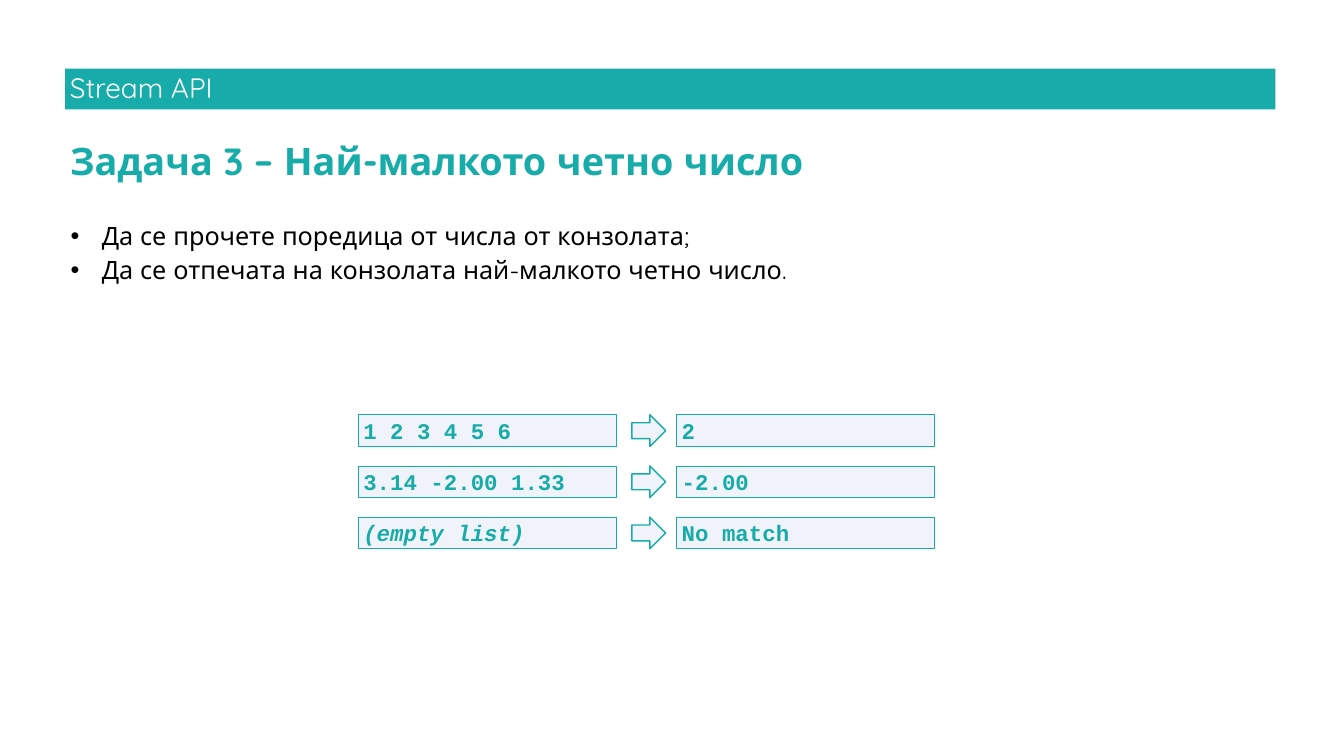
from pptx import Presentation
from pptx.dml.color import RGBColor
from pptx.enum import shapes, text
from pptx.oxml import ns, xmlchemy
from pptx.util import Inches, Pt

TEAL = RGBColor(0x17, 0xAC, 0xA9)
PALE = RGBColor(0xF0, 0xF4, 0xFA)
WHITE = RGBColor(0xFF, 0xFF, 0xFF)
BLACK = RGBColor(0x00, 0x00, 0x00)
BODY_FONT = "Quicksand"
CODE_FONT = "Courier New"

TASK_POINTS = [
    "Да се прочете поредица от числа от конзолата;",
    "Да се отпечата на конзолата най-малкото четно число.",
]
EXAMPLES = [
    ("1 2 3 4 5 6", "2", False),
    ("3.14 -2.00 1.33", "-2.00", False),
    ("(empty list)", "No match", True),
]


def place(part, left, top, width, height):
    """Move and size a part, in inches."""
    part.left, part.top = Inches(left), Inches(top)
    part.width, part.height = Inches(width), Inches(height)


def prepare_frame(frame, anchor=text.MSO_ANCHOR.TOP):
    """Set wrapping and anchoring of a text frame."""
    frame.word_wrap = True
    frame.auto_size = text.MSO_AUTO_SIZE.NONE
    frame.vertical_anchor = anchor


def add_run(paragraph, words, font, size, color, bold=False, italic=False):
    """Add one left-aligned, formatted run to a paragraph."""
    paragraph.alignment = text.PP_ALIGN.LEFT
    run = paragraph.add_run()
    run.text = words
    run.font.name, run.font.size = font, Pt(size)
    run.font.bold, run.font.italic = bold, italic
    run.font.color.rgb = color


def add_bullet(paragraph):
    """Give a paragraph a black bullet with a hanging indent."""
    props = paragraph._p.get_or_add_pPr()
    props.set("marL", str(Inches(0.63)))
    props.set("indent", str(-Inches(0.62)))
    for xml in (
        '<a:buClr %s><a:srgbClr val="000000"/></a:buClr>',
        '<a:buFont %s typeface="Arial"/>',
        '<a:buChar %s char="•"/>',
    ):
        props.append(xmlchemy.parse_xml(xml % ns.nsdecls("a"))
                     if hasattr(xmlchemy, "parse_xml")
                     else ns_element(xml))


def ns_element(xml):
    """Build a drawing element from its markup."""
    from pptx.oxml import parse_xml
    return parse_xml(xml % ns.nsdecls("a"))


def add_block(parent, preset, box, fill, line_width=None):
    """Add a flat preset shape, outlined in teal if a line width is given."""
    block = parent.add_shape(preset, *(Inches(length) for length in box))
    block.shadow.inherit = False
    block.fill.solid()
    block.fill.fore_color.rgb = fill
    if line_width is None:
        block.line.fill.background()
    else:
        block.line.color.rgb = TEAL
        block.line.width = Pt(line_width)
    return block


def section_bar(slide, left, top, width, height):
    """Draw the teal bar that names the section."""
    bar = add_block(slide.shapes, shapes.MSO_SHAPE.RECTANGLE,
                    (left, top, width, height), TEAL)
    prepare_frame(bar.text_frame, text.MSO_ANCHOR.MIDDLE)
    section = bar.text_frame.paragraphs[0]
    section.line_spacing = 0.9
    add_run(section, "Stream API", BODY_FONT, 40, WHITE)


def task_heading(slide, left, top, width, height):
    """Fill the title with the name of the task."""
    heading = slide.shapes.title
    place(heading, left, top, width, height)
    prepare_frame(heading.text_frame)
    task = heading.text_frame.paragraphs[0]
    task.line_spacing, task.space_before = 0.9, Pt(0)
    add_run(task, "Задача 3 – Най-малкото четно число", BODY_FONT, 54, TEAL, bold=True)


def task_list(slide, left, top, width, height):
    """Fill the body with the requirements of the task."""
    requirements = slide.placeholders[1]
    place(requirements, left, top, width, height)
    frame = requirements.text_frame
    prepare_frame(frame)
    for index, words in enumerate(TASK_POINTS):
        point = frame.add_paragraph() if index else frame.paragraphs[0]
        point.line_spacing = 0.9
        point.space_before = Pt(10 if index else 0)
        add_bullet(point)
        add_run(point, words, BODY_FONT, 36, BLACK)


def example_row(slide, left, top, width, height, example):
    """Draw one group: an input box, an arrow and an output box."""
    given, expected, italic = example
    row = slide.shapes.add_group_shape().shapes
    box_width = 5.12
    for offset, words, slanted in ((0, given, italic), (width - box_width, expected, False)):
        sample = add_block(row, shapes.MSO_SHAPE.RECTANGLE,
                           (left + offset, top, box_width, height), PALE, 1)
        prepare_frame(sample.text_frame)
        add_run(sample.text_frame.paragraphs[0], words, CODE_FONT, 32, TEAL,
                bold=True, italic=slanted)
    add_block(row, shapes.MSO_SHAPE.RIGHT_ARROW,
              (left + box_width + 0.31, top, 0.67, height), PALE, 2)


def example_rows(slide, left, top, width, height):
    """Stack the example rows evenly down the given box."""
    row_height = 0.63
    pitch = (height - row_height) / (len(EXAMPLES) - 1)
    for index, example in enumerate(EXAMPLES):
        example_row(slide, left, top + index * pitch, width, row_height, example)


def main():
    """Build and save the slide."""
    deck = Presentation()
    deck.slide_width, deck.slide_height = Inches(26.67), Inches(15)
    slide = deck.slides.add_slide(deck.slide_layouts[1])
    section_bar(slide, 1.29, 1.36, 24.02, 0.81)
    task_heading(slide, 1.29, 2.78, 23.98, 0.94)
    task_list(slide, 1.29, 4.39, 22.36, 4.69)
    example_rows(slide, 7.11, 8.23, 11.44, 2.66)
    deck.save("out.pptx")


if __name__ == "__main__":
    main()
